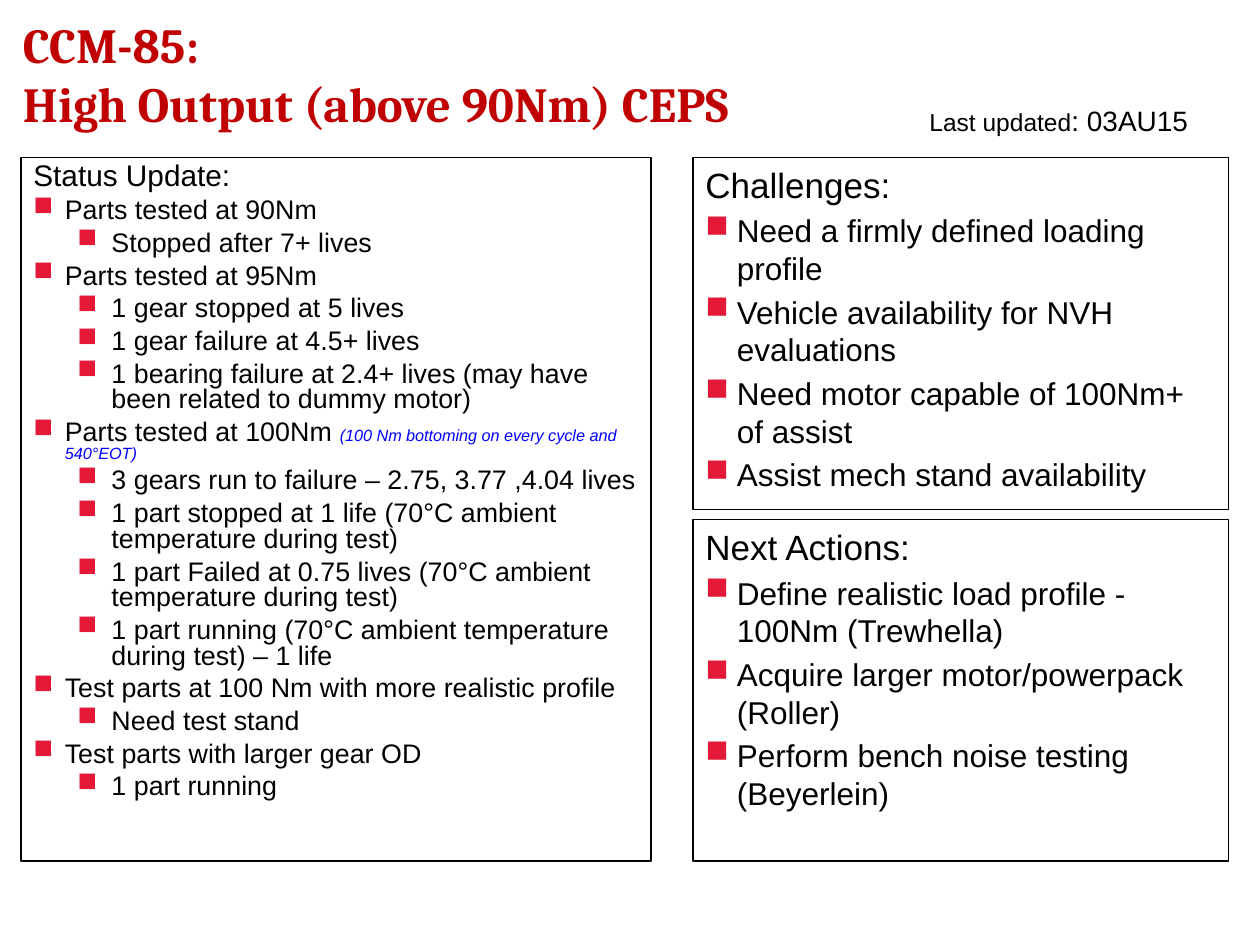
from lxml.etree import SubElement
from pptx import Presentation
from pptx.dml.color import RGBColor
from pptx.enum.shapes import MSO_SHAPE as SHAPE
from pptx.enum.text import MSO_ANCHOR as ANCHOR, PP_ALIGN as ALIGN
from pptx.oxml.ns import qn
from pptx.util import Pt

COLORS = {"text": "000000", "title": "C00000", "bullet": "E31937", "note": "0000FF"}

STATUS = [
    (0, "Parts tested at 90Nm"),
    (1, "Stopped after 7+ lives"),
    (0, "Parts tested at 95Nm"),
    (1, "1 gear stopped at 5 lives"),
    (1, "1 gear failure at 4.5+ lives"),
    (1, "1 bearing failure at 2.4+ lives (may have been related to dummy motor)"),
    (0, "Parts tested at 100Nm ", "(100 Nm bottoming on every cycle and 540°EOT)"),
    (1, "3 gears run to failure – 2.75, 3.77 ,4.04 lives"),
    (1, "1 part stopped at 1 life (70°C ambient temperature during test)"),
    (1, "1 part Failed at 0.75 lives (70°C ambient temperature during test)"),
    (1, "1 part running (70°C ambient temperature during test) – 1 life"),
    (0, "Test parts at 100 Nm with more realistic profile"),
    (1, "Need test stand"),
    (0, "Test parts with larger gear OD"),
    (1, "1 part running"),
]
CHALLENGES = [
    (0, "Need a firmly defined loading profile"),
    (0, "Vehicle availability for NVH evaluations"),
    (0, "Need motor capable of 100Nm+ of assist"),
    (0, "Assist mech stand availability"),
]
ACTIONS = [
    (0, "Define realistic load profile - 100Nm (Trewhella)"),
    (0, "Acquire larger motor/powerpack (Roller)"),
    (0, "Perform bench noise testing (Beyerlein)"),
]


def rgb(name):
    return RGBColor.from_string(COLORS[name])


def style(r, size, color="text", name="Arial", bold=False, italic=False):
    r.font.size = Pt(size)
    r.font.name = name
    r.font.bold = bold
    r.font.italic = italic
    r.font.color.rgb = rgb(color)


def add_bullet(p, level):
    margin, hang = ((18, 18), (44.64, 19.44))[level]
    p.level = level
    pPr = p._p.get_or_add_pPr()
    pPr.set("marL", str(Pt(margin)))
    pPr.set("indent", str(-Pt(hang)))
    clr = SubElement(pPr, qn("a:buClr"))
    SubElement(clr, qn("a:srgbClr"), val=COLORS["bullet"])
    SubElement(pPr, qn("a:buChar"), char="■")


def add_panel(s, box, heading, items, heading_size, size, gap, spacing=1.0):
    sp = s.shapes.add_shape(SHAPE.RECTANGLE, *map(Pt, box))
    sp.shadow.inherit = False
    sp.fill.background()
    sp.line.color.rgb = rgb("text")
    sp.line.width = Pt(0.75)
    tf = sp.text_frame
    tf.word_wrap = True
    tf.vertical_anchor = ANCHOR.TOP
    p = tf.paragraphs[0]
    p.text = heading
    p.alignment = ALIGN.LEFT
    p.line_spacing = spacing
    style(p.runs[0], heading_size)
    for level, text, *notes in items:
        p = tf.add_paragraph()
        add_bullet(p, level)
        p.text = text
        p.alignment = ALIGN.LEFT
        p.line_spacing = spacing
        p.space_before = Pt(gap)
        style(p.runs[0], size)
        for note in notes:
            r = p.add_run()
            r.text = note
            style(r, 9.3, "note", italic=True)


def add_title(s, box):
    tf = s.shapes.add_textbox(*map(Pt, box)).text_frame
    tf.word_wrap = True
    tf.vertical_anchor = ANCHOR.MIDDLE
    p = tf.paragraphs[0]
    p.text = "CCM-85:\vHigh Output (above 90Nm) CEPS"
    for r in p.runs:
        style(r, 28, "title", "Cambria", bold=True)


def add_date(s, box):
    tf = s.shapes.add_textbox(*map(Pt, box)).text_frame
    tf.word_wrap = True
    p = tf.paragraphs[0]
    for text, size in (("Last updated", 14), (": 03AU15", 16)):
        r = p.add_run()
        r.text = text
        style(r, size)


def main():
    prs = Presentation()
    prs.slide_width, prs.slide_height = Pt(720), Pt(540)
    s = prs.slides.add_slide(prs.slide_layouts[6])
    add_panel(s, (12, 90, 360, 402), "Status Update:", STATUS, 17, 15.3, 4, 0.8)
    add_panel(s, (396, 90, 306, 201), "Challenges:", CHALLENGES, 20, 18, 3.2)
    add_panel(s, (396, 297, 306, 195), "Next Actions:", ACTIONS, 20, 18, 3.2)
    add_title(s, (6, 6, 498, 72))
    add_date(s, (524, 55.5, 178, 29))
    prs.save("out.pptx")


if __name__ == "__main__":
    main()
